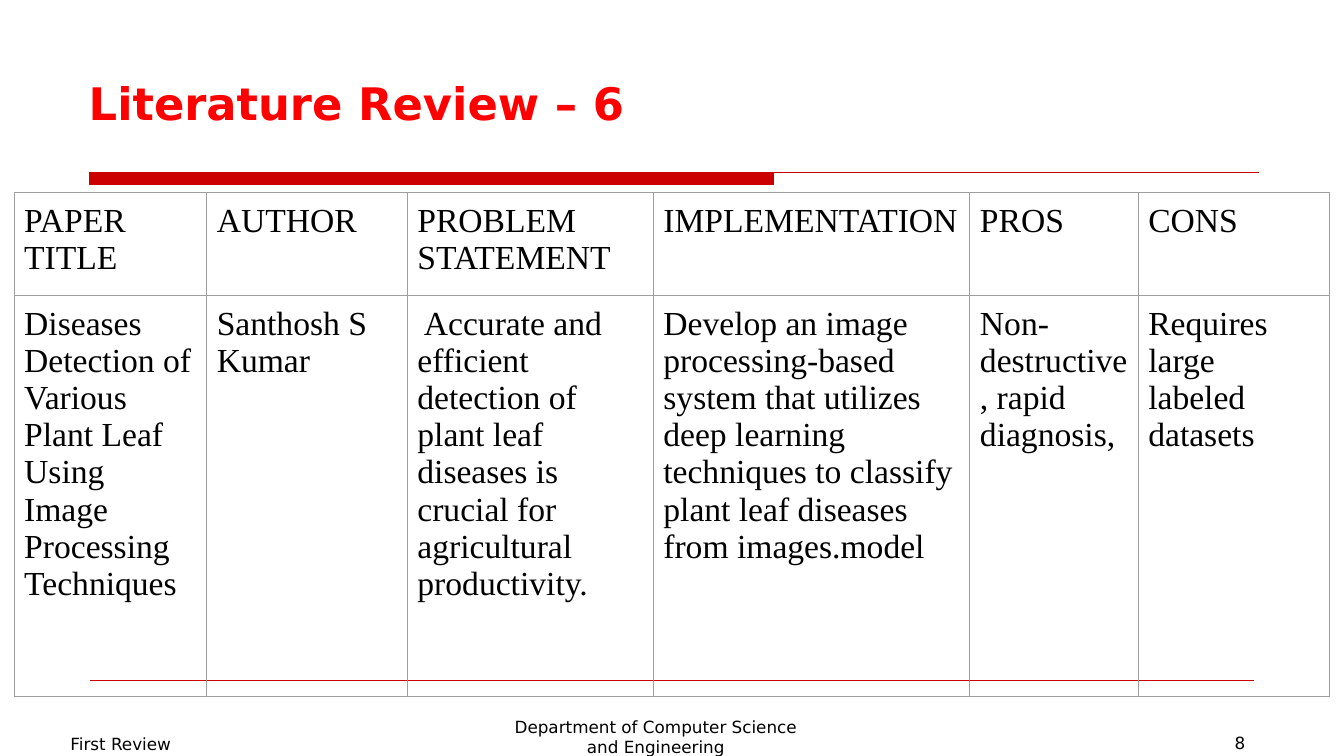
from lxml.etree import SubElement
from pptx import Presentation
from pptx.dml.color import RGBColor
from pptx.enum.shapes import MSO_CONNECTOR as Connector, MSO_SHAPE as Shape
from pptx.enum.text import MSO_ANCHOR as Anchor, PP_ALIGN as Align
from pptx.oxml.ns import qn
from pptx.util import Inches, Pt

COLORS = {"title": "FF0000", "rule": "CC0000", "text": "000000", "border": "9E9E9E"}
SANS, SERIF = "DejaVu Sans", "Times New Roman"
COLUMN_WIDTHS = (1.91, 1.99, 2.44, 3.14, 1.67, 1.9)
ROW_HEIGHTS = (1.02, 3.98)
REVIEW = (
    ("PAPER\vTITLE", "AUTHOR", "PROBLEM STATEMENT", "IMPLEMENTATION", "PROS", "CONS"),
    (
        "Diseases Detection of Various Plant Leaf Using Image Processing Techniques",
        "Santhosh S Kumar",
        " Accurate and efficient detection of plant leaf diseases is crucial for "
        "agricultural productivity.",
        "Develop an image processing-based system that utilizes deep learning "
        "techniques to classify plant leaf diseases from images.model",
        "Non-destructive, rapid diagnosis,",
        "Requires large labeled datasets",
    ),
)


def color(name):
    return RGBColor.from_string(COLORS[name])


def inches(*lengths):
    return [Inches(length) for length in lengths]


def write(frame, text, font, size, ink="text", align=Align.LEFT, bold=False):
    """Fill a text frame with one uniformly formatted paragraph."""
    frame.text = text
    para = frame.paragraphs[0]
    para.alignment = align
    for span in para.runs:
        span.font.name, span.font.size, span.font.bold = font, Pt(size), bold
        span.font.color.rgb = color(ink)


def add_title(page, box, text):
    title = page.shapes.title
    title.left, title.top, title.width, title.height = inches(*box)
    title.text_frame.vertical_anchor = Anchor.BOTTOM
    write(title.text_frame, text, SANS, 32, "title", bold=True)


def add_rule(page, left, top, width):
    rule = page.shapes.add_connector(
        Connector.STRAIGHT, *inches(left, top, left + width, top))
    rule.line.color.rgb = color("rule")
    rule.line.width = Pt(0.75)
    SubElement(rule._element.spPr, qn("a:effectLst"))


def add_title_bar(page, left, top, width, height):
    """Draw a thin rule whose first part is thickened into a bar."""
    bar = page.shapes.add_shape(
        Shape.RECTANGLE, *inches(left, top, width * 0.585, height))
    bar.shadow.inherit = False
    bar.fill.solid()
    bar.fill.fore_color.rgb = bar.line.color.rgb = color("rule")
    bar.line.width = Pt(0.75)
    add_rule(page, left, top, width)


def add_borders(cell):
    properties = cell._tc.get_or_add_tcPr()
    for position, side in enumerate(("lnL", "lnR", "lnT", "lnB")):
        line = SubElement(properties, qn(f"a:{side}"), w=str(Pt(0.75)))
        fill = SubElement(line, qn("a:solidFill"))
        SubElement(fill, qn("a:srgbClr"), val=COLORS["border"])
        properties.remove(line)
        properties.insert(position, line)


def add_review_table(page, left, top):
    table = page.shapes.add_table(
        len(ROW_HEIGHTS), len(COLUMN_WIDTHS),
        *inches(left, top, sum(COLUMN_WIDTHS), sum(ROW_HEIGHTS))).table
    table.first_row = table.horz_banding = False
    for column, width in zip(table.columns, COLUMN_WIDTHS):
        column.width = Inches(width)
    for row, height, texts in zip(table.rows, ROW_HEIGHTS, REVIEW):
        row.height = Inches(height)
        for cell, text in zip(row.cells, texts):
            cell.margin_left = cell.margin_right = Inches(0.1)
            cell.margin_top = cell.margin_bottom = Inches(0.1)
            cell.fill.background()
            add_borders(cell)
            write(cell.text_frame, text, SERIF, 24)


def add_footer(page, box, text, align, margin=0.1):
    frame = page.shapes.add_textbox(*inches(*box)).text_frame
    frame.word_wrap = True
    frame.margin_left = frame.margin_right = Inches(0.1)
    frame.margin_top = frame.margin_bottom = Inches(margin)
    write(frame, text, SANS, 12, align=align)


def build_review_page(deck):
    page = deck.slides.add_slide(deck.slide_layouts[5])
    add_title(page, (0.78, 0, 11.67, 1.33), "Literature Review – 6")
    add_title_bar(page, 0.89, 1.71, 11.6, 0.12)
    add_rule(page, 0.89, 6.75, 11.55)
    add_review_table(page, 0.14, 1.91)
    add_footer(page, (0.6, 7.18, 3.28, 0.4), "First Review", Align.LEFT)
    add_footer(page, (4.9, 7.01, 3.21, 0.61),
               "Department of Computer Science and Engineering", Align.CENTER)
    add_footer(page, (9.56, 7.22, 2.89, 0.52), "8", Align.RIGHT, margin=0.05)


def main():
    deck = Presentation()
    deck.slide_width, deck.slide_height = inches(13.33, 7.5)
    build_review_page(deck)
    deck.save("out.pptx")


if __name__ == "__main__":
    main()
